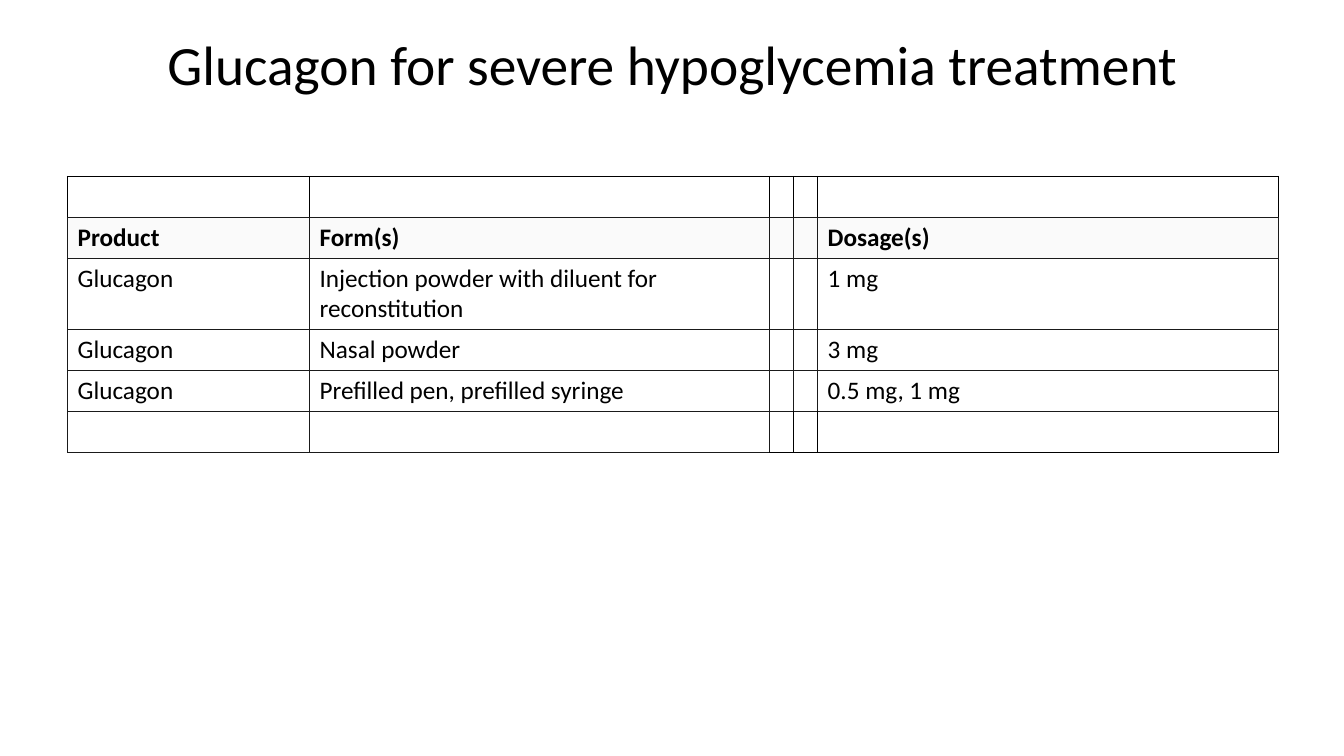
from lxml import etree
from pptx import Presentation
from pptx.dml.color import RGBColor
from pptx.enum.text import MSO_ANCHOR, PP_ALIGN
from pptx.oxml.ns import qn
from pptx.util import Inches, Pt

TITLE = "Glucagon for severe hypoglycemia treatment"
PRODUCTS = [
    ("", "", "", "", ""),
    ("Product", "Form(s)", "", "", "Dosage(s)"),
    ("Glucagon", "Injection powder with diluent for reconstitution", "", "", "1 mg"),
    ("Glucagon", "Nasal powder", "", "", "3 mg"),
    ("Glucagon", "Prefilled pen, prefilled syringe", "", "", "0.5 mg, 1 mg"),
    ("", "", "", "", ""),
]
COLUMN_WIDTHS = [2.4, 4.56, 0.24, 0.23, 4.57]
ROW_HEIGHTS = [0.4, 0.4, 0.7, 0.4, 0.4, 0.4]
HEADER_ROW = 1
LAST_ROW = len(PRODUCTS) - 1

BLACK = RGBColor(0x00, 0x00, 0x00)
CHARCOAL = RGBColor(0x1A, 0x1A, 0x1A)
PALE_GREY = RGBColor(0xFA, 0xFA, 0xFA)
WHITE = RGBColor(0xFF, 0xFF, 0xFF)
THIN = (CHARCOAL, 0.75)
STRONG = (BLACK, 1)
CENTER = PP_ALIGN.CENTER
TOP = MSO_ANCHOR.TOP


def format_font(font, size, bold=False):
    values = {"name": "Calibri", "size": Pt(size), "bold": bold}
    for attribute, value in values.items():
        setattr(font, attribute, value)
    font.color.rgb = BLACK


def cell_borders(row, column):
    """Return the line of each side; the outer rows have stronger ones."""
    borders = dict.fromkeys("LRTB", THIN)
    if row == 0:
        borders.update(L=STRONG, R=STRONG, T=STRONG)
    elif row == LAST_ROW and column >= 2:
        borders.update(R=STRONG, B=STRONG)
        if column > 2:
            borders["L"] = STRONG
    return borders


def draw_borders(cell, borders):
    properties = cell._tc.get_or_add_tcPr()
    for side, (color, width) in borders.items():
        line = etree.SubElement(properties, qn(f"a:ln{side}"), w=str(Pt(width)))
        fill = etree.SubElement(line, qn("a:solidFill"))
        etree.SubElement(fill, qn("a:srgbClr"), val=str(color))


def fill_cell(cell, row):
    if row == 0:
        cell.fill.background()
    else:
        cell.fill.solid()
        cell.fill.fore_color.rgb = PALE_GREY if row == HEADER_ROW else WHITE


def add_title(slide):
    title = slide.shapes.title
    title.left, title.top = Inches(0.67), Inches(0.3)
    title.width, title.height = Inches(12), Inches(1.25)
    frame = title.text_frame
    frame.text = TITLE
    frame.vertical_anchor = TOP
    frame.margin_top = 0
    heading = frame.paragraphs[0]
    heading.alignment = CENTER
    format_font(heading.runs[0].font, 39.6)


def add_product_table(slide):
    table = slide.shapes.add_table(
        len(PRODUCTS), len(COLUMN_WIDTHS), Inches(0.67), Inches(1.75),
        Inches(sum(COLUMN_WIDTHS)), Inches(sum(ROW_HEIGHTS))).table
    table.first_row = table.horz_banding = False
    for column, width in zip(table.columns, COLUMN_WIDTHS):
        column.width = Inches(width)
    for table_row, height in zip(table.rows, ROW_HEIGHTS):
        table_row.height = Inches(height)
    for row, entries in enumerate(PRODUCTS):
        for column, entry in enumerate(entries):
            cell = table.cell(row, column)
            draw_borders(cell, cell_borders(row, column))
            fill_cell(cell, row)
            if entry:
                cell.text = entry
                entry_run = cell.text_frame.paragraphs[0].runs[0]
                format_font(entry_run.font, 18, bold=row == HEADER_ROW)


def main():
    presentation = Presentation()
    presentation.slide_width = Inches(13.33)
    presentation.slide_height = Inches(7.5)
    slide = presentation.slides.add_slide(presentation.slide_layouts[5])
    add_title(slide)
    add_product_table(slide)
    presentation.save("out.pptx")


if __name__ == "__main__":
    main()
